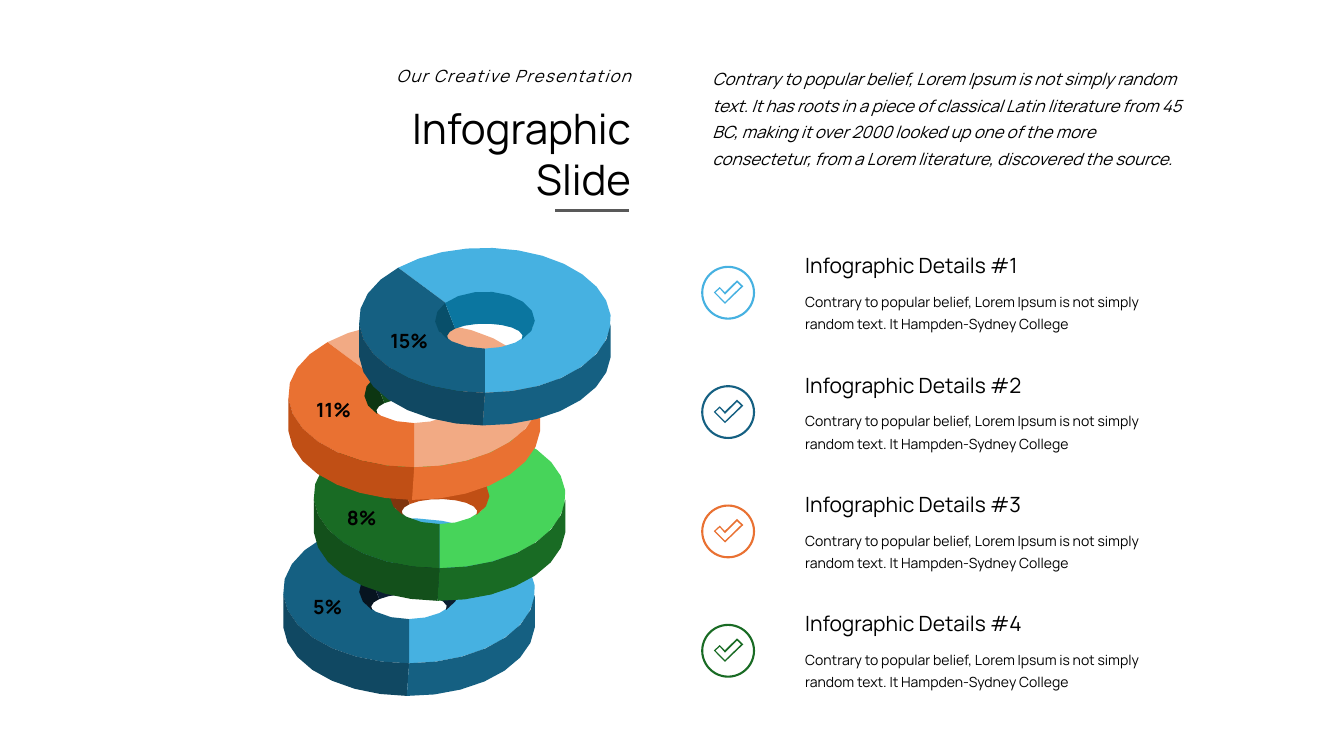
from math import cos, sin, radians
from lxml.etree import SubElement
from pptx import Presentation
from pptx.dml.color import RGBColor as Rgb
from pptx.enum.shapes import MSO_CONNECTOR as Link, MSO_SHAPE as Kind
from pptx.enum.text import MSO_AUTO_SIZE as Fit, PP_ALIGN as Side
from pptx.oxml.ns import qn
from pptx.util import Pt

LEAD = ("Contrary to popular belief, Lorem Ipsum is not simply random text. "
        "It has roots in a piece of classical Latin literature from 45 BC, "
        "making it over 2000 looked up one of the more consectetur, "
        "from a Lorem literature, discovered the source.")
BODY = ("Contrary to popular belief, Lorem Ipsum is not simply random text. "
        "It Hampden-Sydney College")
RINGS = [
    (292.2, 422, "46B1E1 156082 071420 0B1E31 104862 156082"),
    (314, 354.1, "47D45A 196B24 80350E C04F15 13501B 196B24"),
    (295.9, 282, "F2AA84 E97132 0D3612 13501B C04F15 E97132"),
    (346.4, 228.8, "46B1E1 156082 084F6A 0B76A0 104862 156082"),
]
TAGS = [("15%", 269.3, 231.1), ("11%", 215.3, 280.8),
        ("8%", 235.4, 357.8), ("5%", 211, 421.2)]
ROWS = ["46B1E1", "156082", "E97132", "196B24"]
STEP = 85.25

RIM = (90, 51.8, 0, 12)
BASE = (90, 51.8, 23.3, 12)
HOLE = (34.9, 19.6, 0.6, 20)
LIP = (35.6, 20.5, 0, 20)
FLOOR = (27, 9.2, 11.6, 20)
PARTS = [
    [(RIM, 226.5, 450), (HOLE, 450, 219)],
    [(RIM, 90, 226.5), (HOLE, 219, 90)],
    [(LIP, 138, 217), (FLOOR, 218, 167)],
    [(LIP, 217, 402), (FLOOR, 373, 218)],
    [(RIM, 90, 177), (BASE, 177, 91)],
    [(RIM, 3, 90), (BASE, 91, 3)],
]
TICK = [
    [(21.1, 4.3), (16.6, 0), (7.9, 8.5), (4.2, 4.8), (0, 8.7), (8, 16.8)],
    [(8, 15.5), (1.2, 8.7), (4.3, 6), (8, 10.2), (16.6, 1.6), (19.5, 4.3)],
]


def hue(code):
    return Rgb.from_string(code)


def arc(curve, start, end):
    wide, high, drop, pitch = curve
    count = round(abs(end - start) / pitch)
    turns = [radians(start + (end - start) * i / count)
             for i in range(count + 1)]
    return [(wide * cos(t), high * sin(t) + drop) for t in turns]


class Deck:
    def __init__(self):
        self.file = Presentation()
        self.file.slide_width, self.file.slide_height = Pt(960), Pt(540)
        self.slide = self.file.slides.add_slide(self.file.slide_layouts[6])
        self.shapes = self.slide.shapes
        self.style = {"name": "Manrope", "bold": False, "italic": False}

    def text(self, words, box, size, side=Side.LEFT, lead=None, gap=None,
             **extra):
        frame = self.shapes.add_textbox(*map(Pt, box)).text_frame
        frame.word_wrap = True
        frame.auto_size = Fit.SHAPE_TO_FIT_TEXT
        para = frame.paragraphs[0]
        para.alignment = side
        if lead:
            para.line_spacing = Pt(lead)
        run = para.add_run()
        run.text = words
        for key, value in {**self.style, "size": Pt(size), **extra}.items():
            setattr(run.font, key, value)
        run.font.color.rgb = hue("000000")
        if gap:
            run._r.get_or_add_rPr().set("spc", str(gap * 100))

    def rule(self, left, top, right, code, width):
        line = self.shapes.add_connector(
            Link.STRAIGHT, Pt(left), Pt(top), Pt(right), Pt(top))
        line.line.color.rgb = hue(code)
        line.line.width = Pt(width)
        SubElement(line._element.spPr, qn("a:effectLst"))

    def form(self, group, left, top, loops, code):
        pen = None
        for loop in loops:
            spots = [(Pt(left + x), Pt(top + y)) for x, y in loop]
            if pen is None:
                pen = group.shapes.build_freeform(*spots[0])
            else:
                pen.move_to(*spots[0])
            pen.add_line_segments(spots[1:], close=True)
        shape = pen.convert_to_shape()
        shape.shadow.inherit = False
        shape.fill.solid()
        shape.fill.fore_color.rgb = hue(code)
        shape.line.fill.background()

    def ring(self, left, top, codes):
        group = self.shapes.add_group_shape()
        for part, code in zip(PARTS, codes.split()):
            loop = [spot for curve in part for spot in arc(*curve)]
            self.form(group, left, top, [loop], code)

    def badge(self, left, top, code):
        group = self.shapes.add_group_shape()
        self.form(group, left + 8.3, top + 9.6, TICK, code)
        disc = group.shapes.add_shape(
            Kind.OVAL, Pt(left), Pt(top), Pt(37), Pt(37))
        disc.shadow.inherit = False
        disc.fill.background()
        disc.line.color.rgb = hue(code)
        disc.line.width = Pt(1.5)

    def save(self):
        self.file.save("out.pptx")


def main():
    deck = Deck()
    deck.text("Infographic Slide", (217.4, 69.8, 240.5, 80), 30, Side.RIGHT)
    deck.text("Our Creative Presentation", (242.6, 43.2, 215.3, 21.6), 12,
              Side.RIGHT, gap=1, italic=True)
    deck.rule(396.7, 150.5, 449.3, "595959", 2)
    deck.text(LEAD, (501.8, 41, 356.4, 101.5), 12, lead=19, italic=True)
    for ring in RINGS:
        deck.ring(*ring)
    for words, left, top in TAGS:
        deck.text(words, (left, top, 46, 24.5), 14, Side.CENTER, bold=True)
    for i, code in enumerate(ROWS):
        top = 177.1 + i * STEP
        deck.badge(501.6, top + 13.5, code)
        deck.text(f"Infographic Details #{i + 1}", (568.1, top, 200, 25.2), 15)
        deck.text(BODY, (568.1, top + 25, 283.7, 38.2), 10, lead=16)
    deck.save()


if __name__ == "__main__":
    main()
